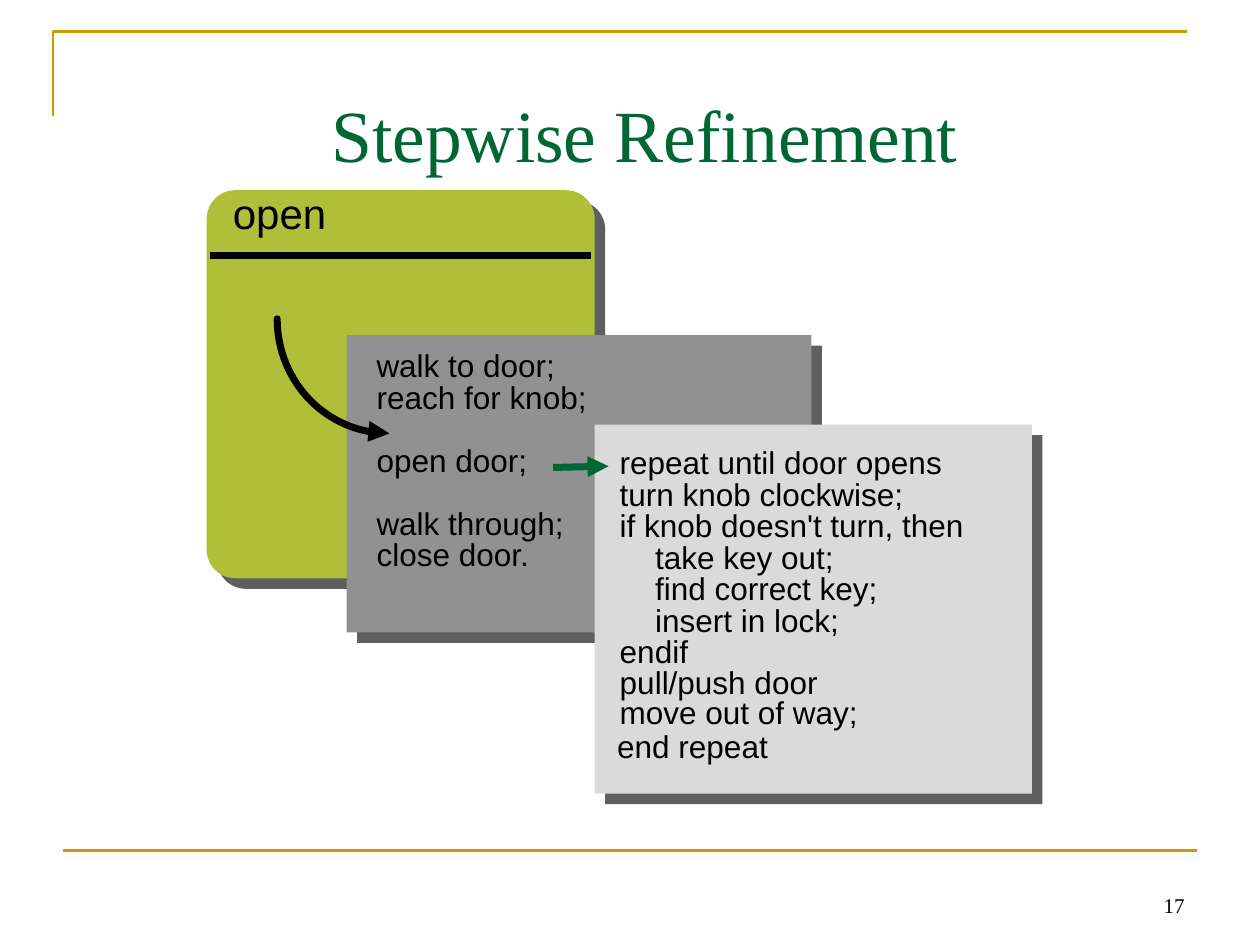
from pptx import Presentation
from pptx.dml.color import RGBColor
from pptx.enum.shapes import MSO_CONNECTOR, MSO_SHAPE
from pptx.enum.text import MSO_ANCHOR, PP_ALIGN
from pptx.oxml.ns import qn
from pptx.util import Inches, Pt
from lxml import etree

LINE = MSO_CONNECTOR.STRAIGHT
RECT, ROUND = MSO_SHAPE.RECTANGLE, MSO_SHAPE.ROUNDED_RECTANGLE
TOP, BOTTOM = MSO_ANCHOR.TOP, MSO_ANCHOR.BOTTOM
LEFT, RIGHT = PP_ALIGN.LEFT, PP_ALIGN.RIGHT

COLORS = {"gold": "CC9900", "green": "006633", "lime": "AFBF39",
          "gray": "919191", "pale": "DADADA", "shade": "5F5F5F",
          "black": "000000"}
SERIF, SANS = "Times New Roman", "Arial"
STEP, INDENT = 0.25, 0.28

TITLE = "Stepwise Refinement"
HEAD = "open"
NUMBER = "17"
DOOR = [(0, "walk to door;", 1.63), (1, "reach for knob;", 1.88),
        (3, "open door;", 1.41), (5, "walk through;", 1.7),
        (6, "close door.", 1.42)]
KNOB = [(0, "repeat until door opens", 2.78, 0),
        (1, "turn knob clockwise;", 2.47, 0),
        (2, "if knob doesn't turn, then", 2.95, 0),
        (3, "take key out;", 1.91, 1),
        (4, "find correct key;", 2.26, 1),
        (5, "insert in lock;", 1.95, 1),
        (6, "endif", 0.75, 0)]
PUSH = ["pull/push door", "move out of way;"]
LAST = "end repeat"

deck = Presentation()
deck.slide_width, deck.slide_height = Inches(10), Inches(7.5)
slide = deck.slides.add_slide(deck.slide_layouts[5])
shapes = slide.shapes


def rgb(name):
    return RGBColor.from_string(COLORS[name])


def style(para, size, face=SANS, color="black"):
    para.font.size, para.font.name = Pt(size), face
    para.font.color.rgb = rgb(color)


def stroke(shape, color, width, arrow=False):
    shape.line.color.rgb = rgb(color)
    shape.line.width = Pt(width)
    if arrow:
        ln = shape._element.spPr.find(qn("a:ln"))
        etree.SubElement(ln, qn("a:tailEnd"), type="triangle")


def rule(x1, y1, x2, y2, color, width, arrow=False):
    line = shapes.add_connector(LINE, *map(Inches, (x1, y1, x2, y2)))
    stroke(line, color, width, arrow)
    etree.SubElement(line._element.spPr, qn("a:effectLst"))


def trace(points, color, width, arrow=False):
    (x, y), *rest = [(Inches(a), Inches(b)) for a, b in points]
    pen = shapes.build_freeform(x, y)
    pen.add_line_segments(rest, close=False)
    curve = pen.convert_to_shape()
    curve.fill.background()
    curve.shadow.inherit = False
    stroke(curve, color, width, arrow)
    return curve


def panel(kind, x, y, w, h, color):
    box = shapes.add_shape(kind, *map(Inches, (x, y, w, h)))
    box.fill.solid()
    box.fill.fore_color.rgb = rgb(color)
    box.line.fill.background()
    box.shadow.inherit = False
    glow = etree.SubElement(
        box._element.spPr.find(qn("a:effectLst")), qn("a:outerShdw"),
        dist=str(Pt(12)), dir="2700000", algn="ctr", rotWithShape="0")
    glow.set("dist", str(Pt(8.5)))
    etree.SubElement(glow, qn("a:srgbClr"), val=COLORS["shade"])
    return box


def label(lines, x, y, w, h=0.4, size=18, level=0, space=None):
    box = shapes.add_textbox(*map(Inches, (x, y, w, h)))
    frame = box.text_frame
    frame.word_wrap = False
    frame.margin_left = Inches(0.1 + level * INDENT)
    frame.text = "\n".join(lines)
    for para in frame.paragraphs:
        style(para, size)
        if space:
            para.line_spacing = space
    return frame


def bend(t):
    ends = ((2.2, 2.53), (2.2, 3.03), (2.59, 3.44), (3.09, 3.44))
    parts = ((1 - t) ** 3, 3 * t * (1 - t) ** 2, 3 * t * t * (1 - t), t ** 3)
    return tuple(sum(k * p[i] for k, p in zip(parts, ends)) for i in (0, 1))


trace([(0.42, 0.92), (0.42, 0.25), (9.42, 0.25)], "gold", 1.5)
rule(0.5, 6.75, 9.5, 6.75, "gold", 1.5)

title = shapes.title
title.left, title.top = Inches(2.53), Inches(0.6)
title.width, title.height = Inches(5.64), Inches(0.66)
frame = title.text_frame
frame.text = TITLE
frame.vertical_anchor = TOP
frame.margin_top = Inches(0.11)
frame.paragraphs[0].alignment = LEFT
style(frame.paragraphs[0], 42, SERIF, "green")

panel(ROUND, 1.64, 1.51, 3.08, 3.08, "lime").adjustments[0] = 0.074
rule(1.67, 2.03, 4.69, 2.03, "black", 4)
label([HEAD], 1.75, 1.44, 0.95, 0.5, 24)

panel(RECT, 2.75, 2.66, 3.69, 2.36, "gray")
for row, text, wide in DOOR:
    label([text], 2.89, 2.7 + row * STEP, wide)

panel(RECT, 4.72, 3.37, 3.47, 2.93, "pale")
for row, text, wide, level in KNOB:
    label([text], 4.82, 3.47 + row * STEP, wide, level=level)
label(PUSH, 4.82, 5.27, 2.11, 0.6, space=0.8)
label([LAST], 4.8, 5.72, 1.41)

rule(4.39, 3.71, 4.83, 3.7, "green", 4, True)
arc = trace([bend(i / 32) for i in range(33)], "black", 4, True)
arc._element.spPr.find(qn("a:ln")).set("cap", "rnd")

frame = label([NUMBER], 7.17, 6.83, 2.33, 0.5, 12)
frame.word_wrap = True
frame.vertical_anchor = BOTTOM
frame.paragraphs[0].alignment = RIGHT
style(frame.paragraphs[0], 12, SERIF)

deck.save("out.pptx")
